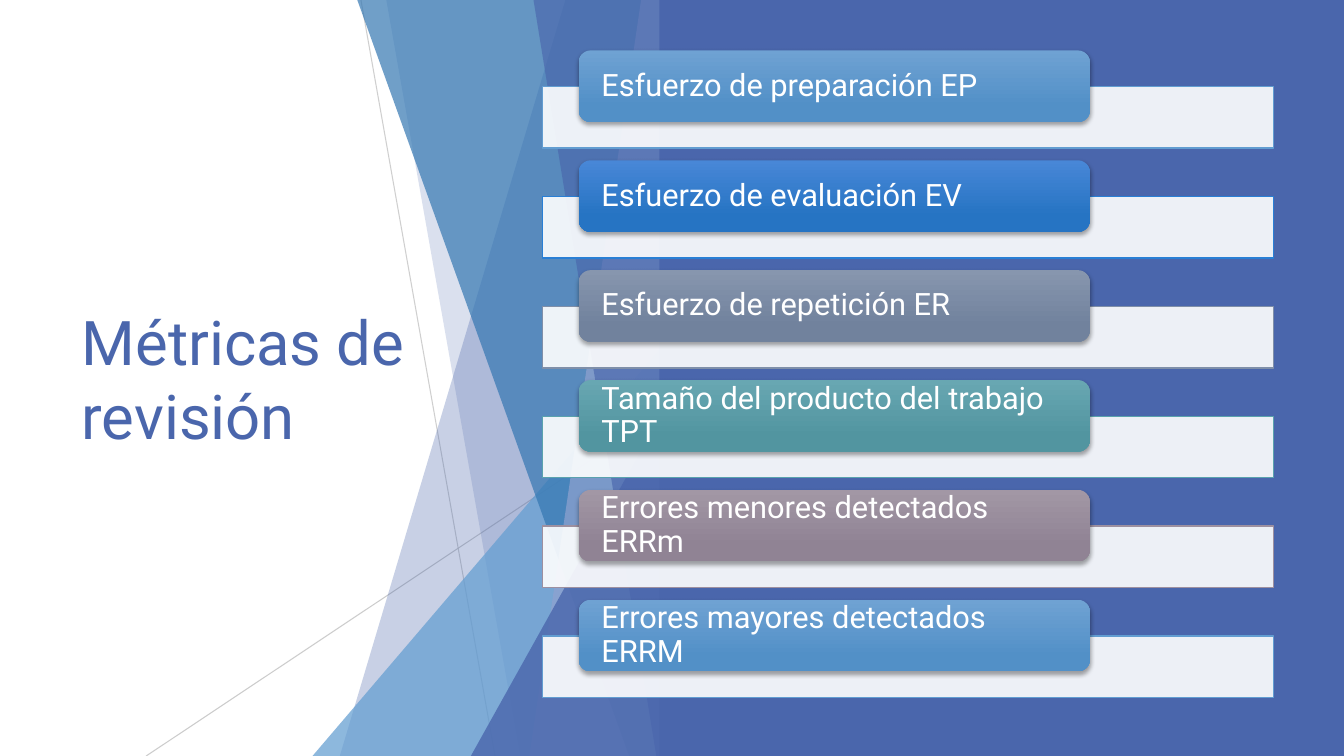
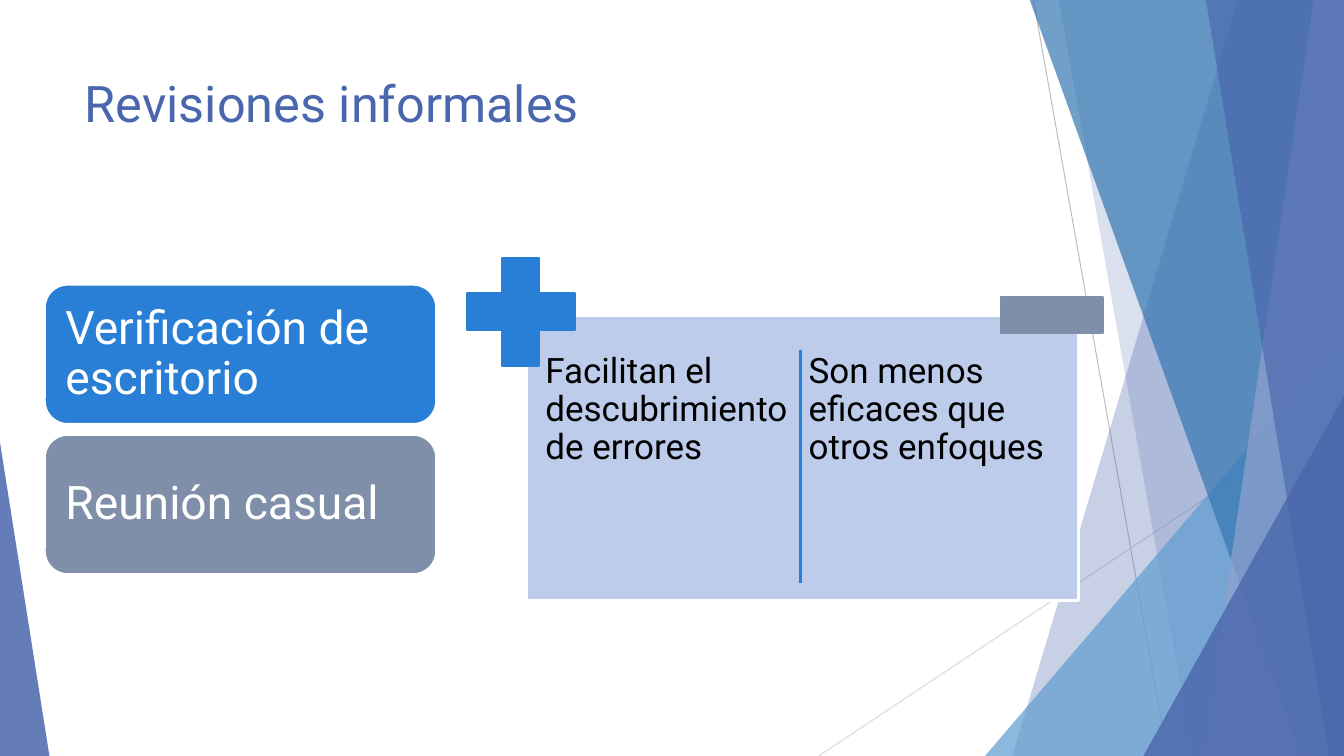
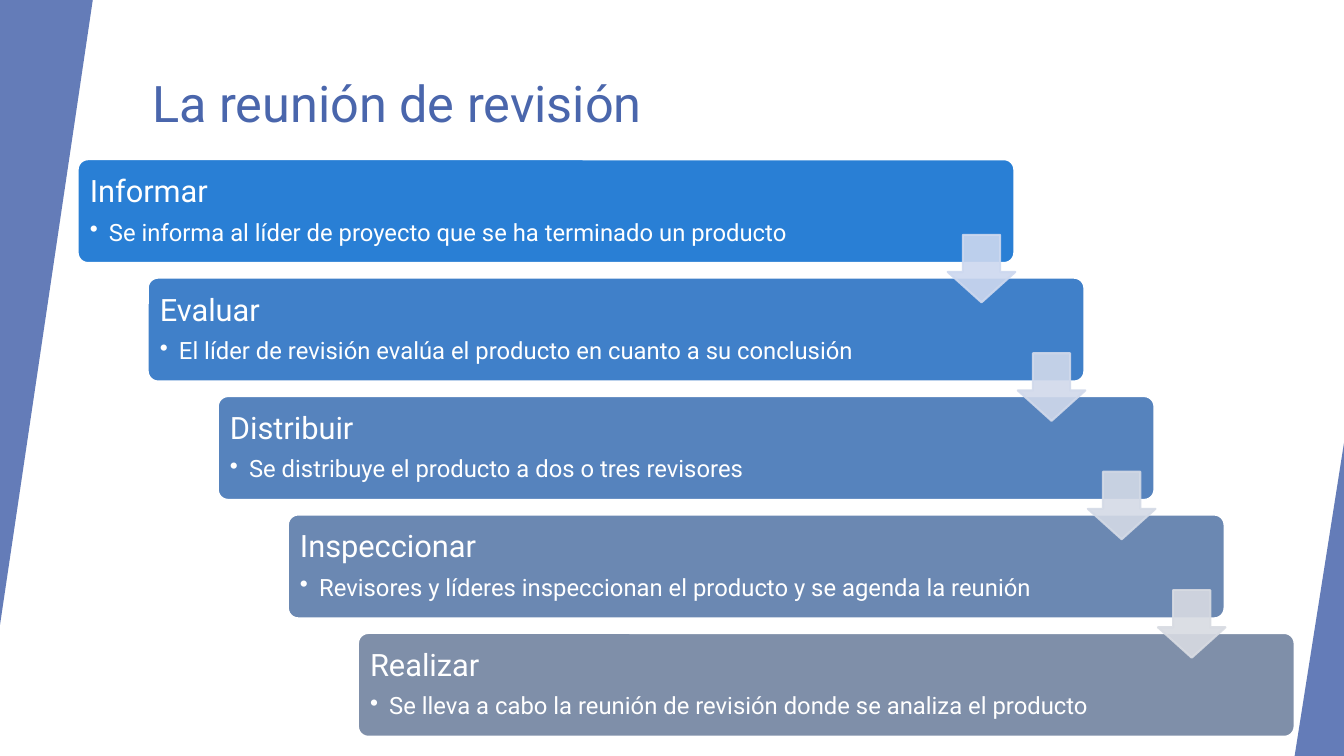
import pptx
import pptx.util
import pptx.dml.color
import pptx.enum.shapes
import pptx.enum.text
import pptx.oxml.ns
import lxml.etree

Inches = pptx.util.Inches
Pt = pptx.util.Pt
SHAPES = pptx.enum.shapes.MSO_SHAPE
ANCHORS = pptx.enum.text.MSO_ANCHOR
qn = pptx.oxml.ns.qn

FONT = "Roboto"
WIDTH, HEIGHT = 13.33, 7.5
NAVY, SKY, BLUE, SLATE = "4A66AC", "629DD1", "297FD5", "7F8FA9"
WHITE, BLACK, GREY, PALE_GREY = "FFFFFF", "000000", "BFBFBF", "D9D9D9"

METRICS_TITLE = "Métricas de revisión"
METRICS = [
    ("Esfuerzo de preparación EP", SKY, "6FA2D3", "5290C7"),
    ("Esfuerzo de evaluación EV", BLUE, "4887D7", "2674C3"),
    ("Esfuerzo de repetición ER", SLATE, "8796AE", "71829D"),
    ("Tamaño del producto del trabajo TPT", "5AA2AE", "68A7B2", "5295A0"),
    ("Errores menores detectados ERRm", "9D90A0", "A297A5", "908394"),
    ("Errores mayores detectados ERRM", SKY, "6FA2D3", "5290C7"),
]

INFORMAL_TITLE = "Revisiones informales"
INFORMAL_KINDS = [("Verificación de escritorio", BLUE), ("Reunión casual", SLATE)]
PROS_AND_CONS = [
    "Facilitan el descubrimiento de errores",
    "Son menos eficaces que otros enfoques",
]

MEETING_TITLE = "La reunión de revisión"
MEETING_STEPS = [
    ("Informar", "Se informa al líder de proyecto que se ha terminado un producto", BLUE),
    ("Evaluar", "El líder de revisión evalúa el producto en cuanto a su conclusión", "4080C9"),
    ("Distribuir", "Se distribuye el producto a dos o tres revisores", "5683BD"),
    ("Inspeccionar", "Revisores y líderes inspeccionan el producto y se agenda la reunión", "6B88B2"),
    ("Realizar", "Se lleva a cabo la reunión de revisión donde se analiza el producto", SLATE),
]
ARROW_COLORS = ["CDD8EF", "D1D9EB", "D4DAE6", "D8DBE2"]

FACETS = [
    ("band", 12.28, 10.04, NAVY, 30),
    ("band", 10.5, 11.83, NAVY, 20),
    ("corner", 9.77, 3.33, SKY, 72),
    ("band", 10.21, 12.91, "3477B2", 70),
    ("band", 13.03, 11.92, "90A2CF", 70),
    ("band", 11.96, 13.18, NAVY, 65),
    ("corner", 11.34, 3.93, NAVY, 80),
]
FACET_LINES = [((10.25, 0), (11.58, 7.5)), ((13.33, 4.03), (8.12, 7.5))]


def rgb(color):
    return pptx.dml.color.RGBColor.from_string(color)


def add_xml(parent, tag, **attributes):
    return lxml.etree.SubElement(
        parent, qn(tag), {name: str(value) for name, value in attributes.items()}
    )


def set_alpha(shape, location, alpha):
    if alpha < 100:
        color = shape.element.spPr.find(location + qn("a:solidFill") + "/" + qn("a:srgbClr"))
        add_xml(color, "a:alpha", val=alpha * 1000)


def set_line(shape, color, width, alpha=100):
    shape.line.color.rgb = rgb(color)
    shape.line.width = Pt(width)
    set_alpha(shape, qn("a:ln") + "/", alpha)


def style_shape(shape, fill, alpha=100, line=None, line_width=1, line_alpha=100):
    shape.shadow.inherit = False
    shape.fill.solid()
    shape.fill.fore_color.rgb = rgb(fill)
    set_alpha(shape, "", alpha)
    if line:
        set_line(shape, line, line_width, line_alpha)
    else:
        shape.line.fill.background()


def add_shape(slide, kind, left, top, width, height, fill, adjustments=(), **style):
    shape = slide.shapes.add_shape(
        kind, Inches(left), Inches(top), Inches(width), Inches(height)
    )
    for index, value in enumerate(adjustments):
        shape.adjustments[index] = value
    style_shape(shape, fill, **style)
    return shape


def add_line(slide, start, end, color, width, alpha=100):
    x1, y1, x2, y2 = (Inches(value) for value in start + end)
    line = slide.shapes.add_connector(
        pptx.enum.shapes.MSO_CONNECTOR.STRAIGHT, x1, y1, x2, y2
    )
    set_line(line, color, width, alpha)
    add_xml(line.element.spPr, "a:effectLst")


def write_text(shape, text, size, color=WHITE, anchor=ANCHORS.MIDDLE, margins=(0.1, 0.05),
               line_spacing=0.9, space_after=0, bullet_indent=None):
    frame = shape.text_frame
    frame.word_wrap = True
    frame.auto_size = pptx.enum.text.MSO_AUTO_SIZE.NONE
    frame.vertical_anchor = anchor
    frame.margin_left = frame.margin_right = Inches(margins[0])
    frame.margin_top = frame.margin_bottom = Inches(margins[1])
    paragraph = frame.add_paragraph() if frame.text else frame.paragraphs[0]
    paragraph.alignment = pptx.enum.text.PP_ALIGN.LEFT
    paragraph.line_spacing = line_spacing
    paragraph.space_before = Pt(0)
    paragraph.space_after = Pt(space_after)
    run = paragraph.add_run()
    run.text = text
    run.font.name = FONT
    run.font.size = Pt(size)
    run.font.color.rgb = rgb(color)
    if bullet_indent:
        properties = paragraph._p.get_or_add_pPr()
        properties.set("marL", str(Inches(bullet_indent)))
        properties.set("indent", str(-Inches(bullet_indent)))
        add_xml(properties, "a:buChar", char="•")


def add_titled_slide(presentation, text, left, top, width, height, size=36, anchor=ANCHORS.TOP):
    slide = presentation.slides.add_slide(presentation.slide_layouts[5])
    title = slide.shapes.title
    title.left, title.top = Inches(left), Inches(top)
    title.width, title.height = Inches(width), Inches(height)
    write_text(title, text, size, color=NAVY, anchor=anchor, line_spacing=1.0)
    return slide


def add_facets(slide, line_styles, shift=0):
    for ((x1, y1), (x2, y2)), (color, alpha) in zip(FACET_LINES, line_styles):
        add_line(slide, (x1 + shift, y1), (x2 + shift, y2), color, 0.75, alpha)
    right = WIDTH + shift
    for kind, first, second, color, alpha in FACETS:
        left = first + shift
        if kind == "corner":
            add_shape(slide, SHAPES.ISOSCELES_TRIANGLE, left, second, right - left,
                      HEIGHT - second, color, adjustments=[1], alpha=alpha)
        else:
            corners = [(left, -0.01), (right, -0.01), (right, HEIGHT), (second + shift, HEIGHT)]
            points = [(Inches(x), Inches(y)) for x, y in corners]
            builder = slide.shapes.build_freeform(*points[0])
            builder.add_line_segments(points[1:])
            style_shape(builder.convert_to_shape(), color, alpha)


def add_edge_triangle(slide, left, top, width, height, apex, rotation=0):
    triangle = add_shape(slide, SHAPES.ISOSCELES_TRIANGLE, left, top, width, height, NAVY,
                         adjustments=[apex], alpha=85)
    triangle.rotation = rotation


def add_gradient_and_shadow(shape, top_color, bottom_color):
    shape.fill.gradient()
    shape.fill.gradient_angle = 270
    stops = zip(shape.fill.gradient_stops, (0, 0.78), (top_color, bottom_color))
    for stop, position, color in stops:
        stop.position = position
        stop.color.rgb = rgb(color)
    effects = shape.element.spPr.find(qn("a:effectLst"))
    shadow = add_xml(effects, "a:outerShdw", blurRad=Pt(3), dist=Pt(2), dir=5400000,
                     rotWithShape=0)
    add_xml(add_xml(shadow, "a:srgbClr", val=BLACK), "a:alpha", val=35000)


def build_metrics(presentation):
    slide = add_titled_slide(presentation, METRICS_TITLE, 0.71, 1.51, 3.88, 4.48,
                             size=44, anchor=ANCHORS.MIDDLE)
    add_facets(slide, [(GREY, 75), (GREY, 80)], shift=-6.67)
    add_shape(slide, SHAPES.RECTANGLE, 6.54, 0, WIDTH - 6.54, HEIGHT, NAVY)
    for index, (text, border, top_color, bottom_color) in enumerate(METRICS):
        top = 0.5 + 1.09 * index
        add_shape(slide, SHAPES.RECTANGLE, 5.38, top + 0.36, 7.25, 0.61, WHITE,
                  alpha=90, line=border)
        label = add_shape(slide, SHAPES.ROUNDED_RECTANGLE, 5.74, top, 5.07, 0.71, top_color)
        add_gradient_and_shadow(label, top_color, bottom_color)
        write_text(label, text, 22, margins=(0.19, 0))


def build_informal(presentation):
    slide = add_titled_slide(presentation, INFORMAL_TITLE, 0.74, 0.67, 9.4, 1.44)
    add_facets(slide, [(GREY, 100), (PALE_GREY, 100)])
    add_edge_triangle(slide, 0, 4.39, 0.49, 3.11, apex=0)
    for index, (text, color) in enumerate(INFORMAL_KINDS):
        card = add_shape(slide, SHAPES.ROUNDED_RECTANGLE, 0.44, 2.82 + 1.49 * index, 3.89, 1.39,
                         color, line=WHITE, line_width=2)
        write_text(card, text, 33, margins=(0.14, 0.14))
    add_shape(slide, SHAPES.RECTANGLE, 5.22, 3.13, 5.48, 2.83, "BECCEB",
              line=WHITE, line_width=2)
    for index, text in enumerate(PROS_AND_CONS):
        box = slide.shapes.add_textbox(Inches(5.36 + 2.61 * index), Inches(3.46),
                                       Inches(2.55), Inches(2.42))
        write_text(box, text, 25, color=BLACK, anchor=ANCHORS.TOP, margins=(0.05, 0.05))
    add_shape(slide, SHAPES.CROSS, 4.63, 2.56, 1.07, 1.07, BLUE, adjustments=[0.33],
              line=BLUE, line_width=1.5)
    add_shape(slide, SHAPES.RECTANGLE, 9.93, 2.95, 1.01, 0.35, SLATE,
              line=SLATE, line_width=1.5)
    add_line(slide, (7.94, 3.47), (7.94, 5.78), BLUE, 1.5)


def build_meeting(presentation):
    slide = add_titled_slide(presentation, MEETING_TITLE, 1.41, 0.67, 11.15, 1.2)
    add_edge_triangle(slide, 0, 0, 0.92, 6.2, apex=1, rotation=180)
    add_edge_triangle(slide, 12.84, 4.39, 0.49, 3.11, apex=1)
    step_x, step_y = 2.78 / 4, 4.7 / 4
    for index, (heading, detail, color) in enumerate(MEETING_STEPS):
        card = add_shape(slide, SHAPES.ROUNDED_RECTANGLE, 0.77 + step_x * index,
                         1.58 + step_y * index, 9.29, 1.03, color, adjustments=[0.1],
                         line=WHITE, line_width=1.5)
        write_text(card, heading, 22, margins=(0.09, 0.09), space_after=8)
        write_text(card, detail, 17, margins=(0.09, 0.09), bullet_indent=0.19)
    for index, color in enumerate(ARROW_COLORS):
        add_shape(slide, SHAPES.DOWN_ARROW, 9.4 + step_x * index, 2.33 + step_y * index,
                  0.67, 0.67, color, adjustments=[0.55, 0.45], alpha=90,
                  line=color, line_width=1.5, line_alpha=90)


presentation = pptx.Presentation()
presentation.slide_width, presentation.slide_height = Inches(WIDTH), Inches(HEIGHT)
build_metrics(presentation)
build_informal(presentation)
build_meeting(presentation)
presentation.save("out.pptx")
